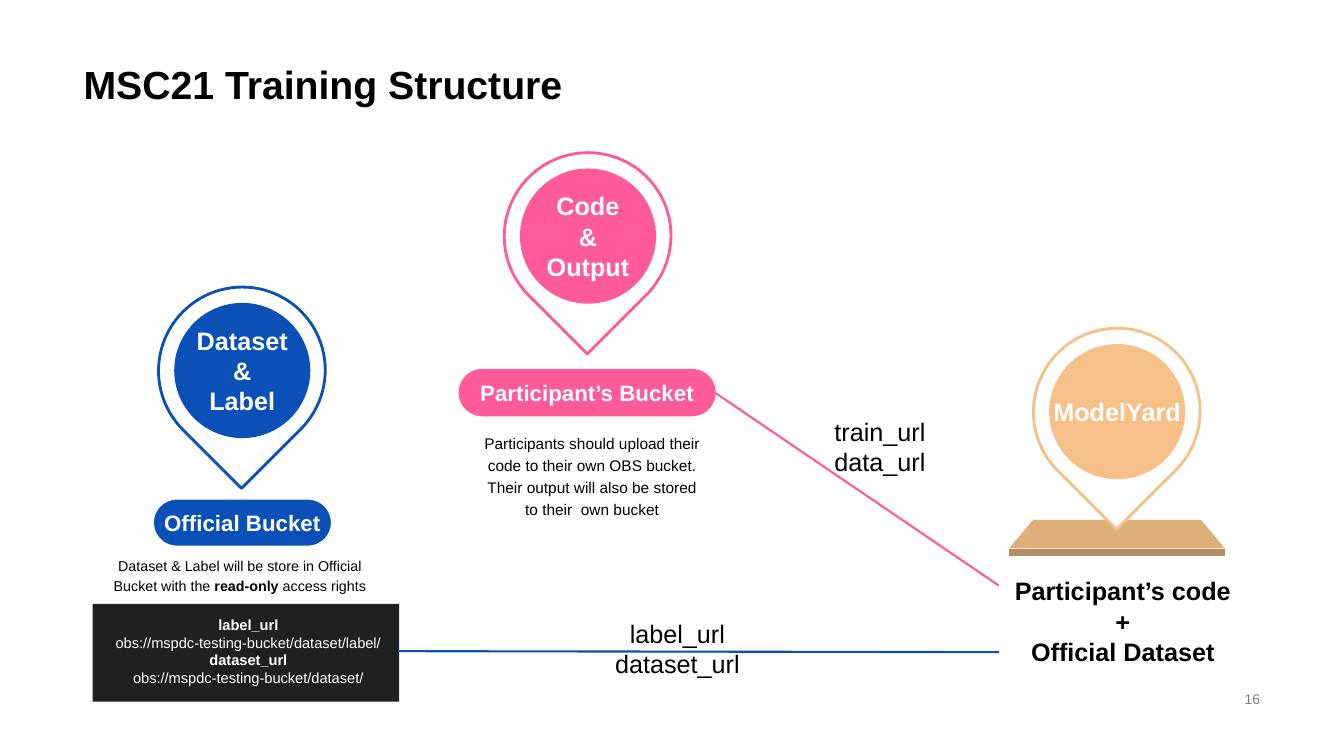
from dataclasses import dataclass
from typing import Optional

from lxml.etree import SubElement
from pptx import Presentation
from pptx.dml.color import RGBColor
from pptx.enum.shapes import MSO_CONNECTOR, MSO_SHAPE
from pptx.enum.text import MSO_ANCHOR, PP_ALIGN
from pptx.oxml.ns import qn
from pptx.shapes.autoshape import Shape
from pptx.slide import Slide
from pptx.util import Emu, Pt

COLUMNS, ROWS = 160, 90
CELL = 76200


@dataclass(frozen=True)
class Theme:
    font: str = "Arial"
    blue: str = "0A50B6"
    pink: str = "FF5A9A"
    sand: str = "F6C189"
    platform_top: str = "DFAF7B"
    platform_front: str = "B58E65"
    panel: str = "202020"
    black: str = "000000"
    white: str = "FFFFFF"
    gray: str = "808080"
    title: float = 28
    heading: float = 18
    pill: float = 15.9
    body: float = 11
    url: float = 10.5
    note: float = 10.2
    page: float = 10


THEME = Theme()


@dataclass(frozen=True)
class Box:
    column: float
    row: float
    columns: float
    rows: float

    def emu(self) -> tuple[Emu, ...]:
        return tuple(cells(n) for n in (self.column, self.row, self.columns, self.rows))


@dataclass(frozen=True)
class Run:
    text: str
    bold: bool = False


Paragraphs = list[list[Run]]


@dataclass(frozen=True)
class Style:
    size: float
    color: str = THEME.black
    align: PP_ALIGN = PP_ALIGN.CENTER
    anchor: MSO_ANCHOR = MSO_ANCHOR.TOP
    spacing: Optional[float] = None
    wrap: bool = True


@dataclass(frozen=True)
class Pin:
    column: float
    row: float
    color: str
    words: list[str]


@dataclass(frozen=True)
class Pill:
    box: Box
    color: str
    words: str
    outline: Optional[str] = None


@dataclass(frozen=True)
class Caption:
    box: Box
    paragraphs: Paragraphs
    style: Style


@dataclass(frozen=True)
class Link:
    start: tuple[float, float]
    end: tuple[float, float]
    color: str


@dataclass(frozen=True)
class Face:
    corners: list[tuple[float, float]]
    color: str


def cells(count: float) -> Emu:
    return Emu(round(count * CELL))


def lines(*texts: str, bold: bool = False) -> Paragraphs:
    return [[Run(text, bold)] for text in texts]


def write(holder: Shape, paragraphs: Paragraphs, style: Style) -> None:
    frame = holder.text_frame
    frame.word_wrap = style.wrap
    frame.vertical_anchor = style.anchor
    for index, runs in enumerate(paragraphs):
        paragraph = frame.add_paragraph() if index else frame.paragraphs[0]
        paragraph.alignment = style.align
        paragraph.line_spacing = style.spacing
        for part in runs:
            run = paragraph.add_run()
            run.text = part.text
            run.font.name = THEME.font
            run.font.size = Pt(style.size)
            run.font.bold = part.bold
            run.font.color.rgb = RGBColor.from_string(style.color)


def paint(shape: Shape, fill: str, outline: Optional[str] = None, weight: float = 1) -> None:
    shape.shadow.inherit = False
    shape.fill.solid()
    shape.fill.fore_color.rgb = RGBColor.from_string(fill)
    if outline:
        shape.line.color.rgb = RGBColor.from_string(outline)
        shape.line.width = Pt(weight)
    else:
        shape.line.fill.background()


def draw_title(slide: Slide, box: Box, words: str) -> None:
    title = slide.shapes.title
    title.left, title.top, title.width, title.height = box.emu()
    style = Style(THEME.title, align=PP_ALIGN.LEFT, anchor=MSO_ANCHOR.BOTTOM, spacing=0.9)
    write(title, lines(words, bold=True), style)


def draw_face(slide: Slide, face: Face) -> None:
    first, *others = [(cells(x), cells(y)) for x, y in face.corners]
    outline = slide.shapes.build_freeform(*first)
    outline.add_line_segments(others, close=True)
    paint(outline.convert_to_shape(), face.color)


def draw_pin(slide: Slide, pin: Pin) -> None:
    rim = Box(pin.column, pin.row, 19.9, 19.8)
    core = Box(pin.column + 1.9, pin.row + 1.86, 16.2, 16.1)
    teardrop = slide.shapes.add_shape(MSO_SHAPE.TEAR, *rim.emu())
    teardrop.rotation = 135
    paint(teardrop, THEME.white, pin.color, 2)
    disc = slide.shapes.add_shape(MSO_SHAPE.OVAL, *core.emu())
    paint(disc, pin.color)
    style = Style(THEME.heading, THEME.white, anchor=MSO_ANCHOR.MIDDLE, wrap=False)
    write(disc, lines(*pin.words, bold=True), style)


def draw_pill(slide: Slide, pill: Pill) -> None:
    shape = slide.shapes.add_shape(MSO_SHAPE.ROUNDED_RECTANGLE, *pill.box.emu())
    shape.adjustments[0] = 0.5
    paint(shape, pill.color, pill.outline)
    style = Style(THEME.pill, THEME.white, anchor=MSO_ANCHOR.MIDDLE, wrap=False)
    write(shape, lines(pill.words, bold=True), style)


def draw_caption(slide: Slide, caption: Caption) -> None:
    write(slide.shapes.add_textbox(*caption.box.emu()), caption.paragraphs, caption.style)


def draw_link(slide: Slide, link: Link) -> None:
    ends = [cells(n) for n in (*link.start, *link.end)]
    connector = slide.shapes.add_connector(MSO_CONNECTOR.STRAIGHT, *ends)
    connector.line.color.rgb = RGBColor.from_string(link.color)
    connector.line.width = Pt(1.5)
    SubElement(connector._element.spPr, qn("a:effectLst"))


PLATFORM = [
    Face([(123, 61.9), (143, 61.9), (145.83, 65.3), (120.12, 65.3)], THEME.platform_top),
    Face([(120.12, 65.3), (145.83, 65.3), (145.83, 66.2), (120.12, 66.2)], THEME.platform_front),
]
PINS = [
    Pin(18.84, 34.2, THEME.blue, ["Dataset", "&", "Label"]),
    Pin(60, 18.2, THEME.pink, ["Code", "&", "Output"]),
    Pin(123, 39.1, THEME.sand, ["ModelYard"]),
]
PILLS = [
    Pill(Box(54.6, 43.92, 30.6, 5.64), THEME.pink, "Participant’s Bucket"),
    Pill(Box(18.24, 59.4, 21.24, 5.64), THEME.blue, "Official Bucket", THEME.white),
]
URL_PANEL = Box(11.04, 71.88, 36.48, 11.64)
LINKS = [
    Link((85.2, 46.8), (118.92, 69.72), THEME.pink),
    Link((47.4, 77.52), (118.92, 77.64), THEME.blue),
]
LINK_LABEL = Style(THEME.heading)
CAPTIONS = [
    Caption(Box(12.12, 65.28, 32.88, 7.32), [[
        Run("Dataset & Label will be store in Official Bucket with the "),
        Run("read-only", True),
        Run(" access rights"),
    ]], Style(THEME.note, spacing=1.2)),
    Caption(Box(56.28, 50.64, 28.44, 12.12), lines(
        "Participants should upload their code to their own OBS bucket.",
        "Their output will also be stored to their  own bucket",
    ), Style(THEME.body, spacing=1.2)),
    Caption(Box(11.76, 72.72, 35.64, 9.72), [
        [Run("label_url", True)],
        [Run("obs://mspdc-testing-bucket/dataset/label/")],
        [Run("dataset_url", True)],
        [Run("obs://mspdc-testing-bucket/dataset/")],
    ], Style(THEME.url, THEME.white)),
    Caption(Box(118.92, 66, 29.52, 13.92),
            lines("Participant’s code", "+", "Official Dataset", bold=True),
            Style(THEME.heading, anchor=MSO_ANCHOR.BOTTOM)),
    Caption(Box(69.96, 72.96, 21.36, 8.52), lines("label_url", "dataset_url"), LINK_LABEL),
    Caption(Box(94.08, 48.96, 21.36, 8.52), lines("train_url", "data_url"), LINK_LABEL),
    Caption(Box(113.04, 81.84, 38.16, 2.76), lines("16"),
            Style(THEME.page, THEME.gray, PP_ALIGN.RIGHT, MSO_ANCHOR.MIDDLE)),
]


def main() -> None:
    deck = Presentation()
    deck.slide_width, deck.slide_height = cells(COLUMNS), cells(ROWS)
    slide = deck.slides.add_slide(deck.slide_layouts[5])
    draw_title(slide, Box(8.76, 0, 142.44, 13.44), "MSC21 Training Structure")
    for face in PLATFORM:
        draw_face(slide, face)
    for pin in PINS:
        draw_pin(slide, pin)
    for pill in PILLS:
        draw_pill(slide, pill)
    paint(slide.shapes.add_shape(MSO_SHAPE.RECTANGLE, *URL_PANEL.emu()), THEME.panel)
    for link in LINKS:
        draw_link(slide, link)
    for caption in CAPTIONS:
        draw_caption(slide, caption)
    deck.save("out.pptx")


if __name__ == "__main__":
    main()
